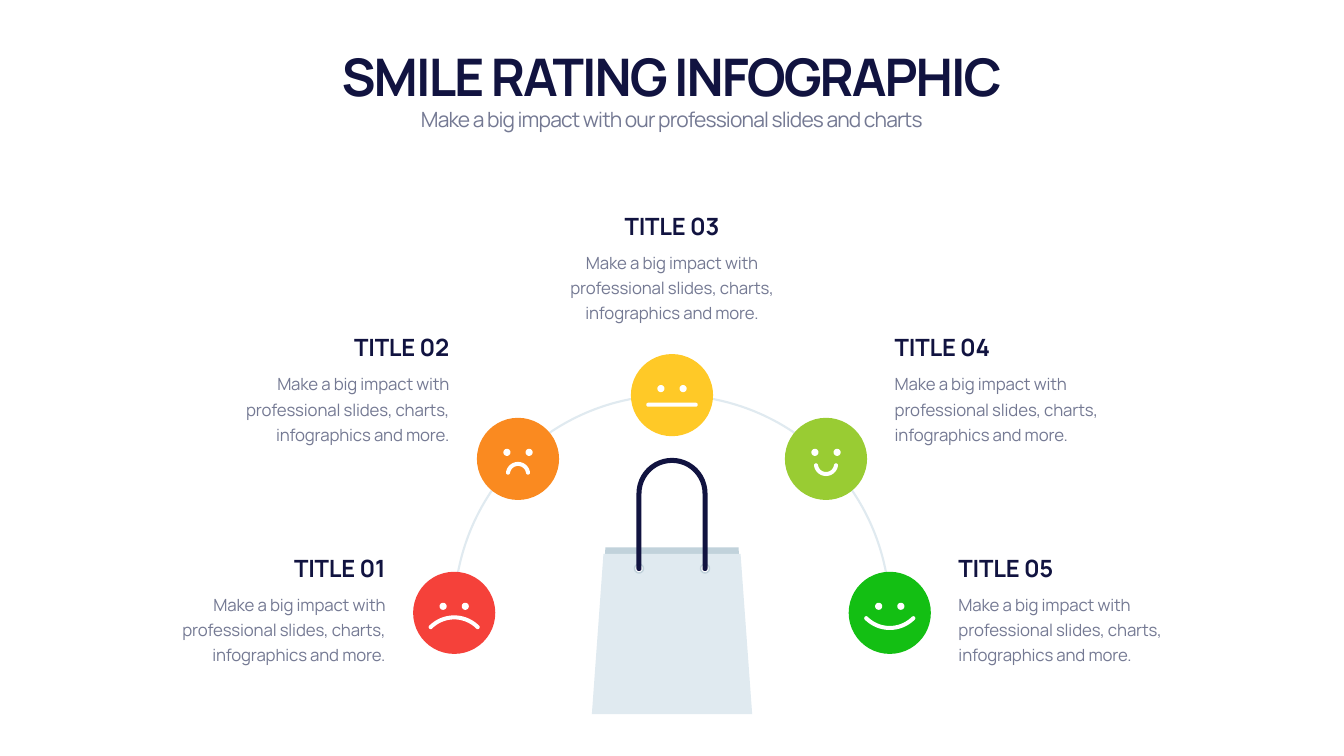
import math

import pptx
import pptx.dml.color
import pptx.enum.shapes
import pptx.enum.text
import pptx.util

Inches = pptx.util.Inches
Shape = pptx.enum.shapes.MSO_SHAPE
Align = pptx.enum.text.PP_ALIGN
Anchor = pptx.enum.text.MSO_ANCHOR

NAVY, GREY, PALE, STEEL, WHITE = "111340", "747993", "E0EAF0", "C1D2DB", "FFFFFF"
FONT = "Manrope"
BODY = "Make a big impact with professional slides, charts, infographics and more."
FACE = 1.63 / 2
RING = 4.32


def color(code):
    return pptx.dml.color.RGBColor.from_string(code)


def paint(shape, fill=None, line=None, width=0):
    shape.shadow.inherit = False
    if fill:
        shape.fill.solid()
        shape.fill.fore_color.rgb = color(fill)
    else:
        shape.fill.background()
    if line:
        shape.line.color.rgb = color(line)
        shape.line.width = pptx.util.Pt(width)
    else:
        shape.line.fill.background()


def round_shape(slide, kind, x, y, radius):
    size = Inches(2 * radius)
    return slide.shapes.add_shape(
        kind, Inches(x - radius), Inches(y - radius), size, size)


def disc(slide, x, y, radius, fill, line=None, width=0):
    paint(round_shape(slide, Shape.OVAL, x, y, radius), fill, line, width)


def curve(x, y, radius, start, end, steps=24):
    turns = [math.radians(start + (end - start) * i / steps)
             for i in range(steps + 1)]
    return [(x + radius * math.cos(t), y + radius * math.sin(t)) for t in turns]


def ribbon(line, half):
    edge = []
    for trail in (line, line[::-1]):
        for i, (x, y) in enumerate(trail):
            ax, ay = trail[max(i - 1, 0)]
            bx, by = trail[min(i + 1, len(trail) - 1)]
            turn = math.degrees(math.atan2(by - ay, bx - ax))
            edge += curve(x, y, half, turn - 90, turn - 90, 1)[:1]
        edge += curve(x, y, half, turn - 90, turn + 90, 8)[1:-1]
    return edge


def outline(slide, loops, fill):
    loops = [[(Inches(x), Inches(y)) for x, y in loop] for loop in loops]
    maker = slide.shapes.build_freeform(*loops[0][0], scale=1.0)
    for i, loop in enumerate(loops):
        if i:
            maker.move_to(*loop[0])
        maker.add_line_segments(loop[1:], close=True)
    paint(maker.convert_to_shape(), fill)


def label(slide, box, text, size, tint, align, track,
          bold=False, anchor=Anchor.TOP, pitch=None):
    frame = slide.shapes.add_textbox(*map(Inches, box)).text_frame
    frame.word_wrap = True
    frame.auto_size = pptx.enum.text.MSO_AUTO_SIZE.SHAPE_TO_FIT_TEXT
    frame.vertical_anchor = anchor
    frame.text = text
    para = frame.paragraphs[0]
    para.alignment = align
    if pitch:
        para.line_spacing = pptx.util.Pt(pitch)
    run = para.runs[0]
    run.font.name = FONT
    run.font.size = pptx.util.Pt(size)
    run.font.bold = bold
    run.font.color.rgb = color(tint)
    run.font._element.set("spc", str(round(track * 100)))


def header(slide, left, top, width):
    label(slide, (left, top, width, 1.35), "SMILE RATING INFOGRAPHIC",
          74, NAVY, Align.CENTER, -2.9, bold=True, anchor=Anchor.BOTTOM)
    label(slide, (left, top + 1.25, width, 0.61),
          "Make a big impact with our professional slides and charts",
          30, GREY, Align.CENTER, -1.2)


def note(slide, left, top, width, title, align):
    label(slide, (left, top, width, 0.67), title,
          34, NAVY, align, -0.3, bold=True, anchor=Anchor.BOTTOM)
    label(slide, (left, top + 0.72, width, 1.59), BODY,
          24, GREY, align, -0.2, pitch=36)


def bag(slide, left, top, width, height):
    mid, base = left + width / 2, top + height
    rim, hole, bend = base - 3.18, base - 2.89, top + 0.7
    grip = 1.31 / 2

    def panel(y, low, upper, lower, fill):
        outline(slide, [[(mid - upper, y), (mid + upper, y),
                         (mid + lower, low), (mid - lower, low)]], fill)

    panel(rim - 0.13, base - 0.25, 1.32, 1.53, STEEL)
    panel(rim, base, 1.36, width / 2, PALE)
    for side in (-1, 1):
        disc(slide, mid + side * grip, hole, 0.09, WHITE, STEEL, 2)
    path = [(mid - grip, hole), *curve(mid, bend, grip, 180, 360),
            (mid + grip, hole)]
    outline(slide, [ribbon(path, 0.05)], NAVY)


def face(slide, x, y, fill, mouth):
    disc(slide, x, y, FACE, fill)
    if mouth:
        drop, radius, start, end = mouth
        line = curve(x, y + drop, radius, start, end)
    else:
        line = [(x - 0.47, y + 0.19), (x + 0.47, y + 0.19)]
    eyes = [curve(x + side * 0.22, y - 0.13, 0.07, 0, 360) for side in (1, -1)]
    outline(slide, [ribbon(line, 0.04), *eyes], WHITE)


def rating(slide, x, y, radius):
    ratings = [
        ("F5413A", (0.75, 0.66, 225, 315), 1.23, Align.RIGHT),
        ("FA8A20", (0.3, 0.2, 188, 352), 2.55, Align.RIGHT),
        ("FFC927", None, 3.7, Align.CENTER),
        ("99CC33", (0.1, 0.2, 8, 172), 2.55, Align.LEFT),
        ("13BF13", (-0.36, 0.66, 45, 135), 1.23, Align.LEFT),
    ]
    wide, gap = 4.86, 0.45
    ring = round_shape(slide, Shape.ARC, x, y, radius)
    ring.adjustments[0] = 108
    ring.adjustments[1] = 0
    paint(ring, None, PALE, 3)
    for i, (fill, mouth, lift, align) in enumerate(ratings):
        turn = math.radians(180 - 45 * i)
        across = x + radius * math.cos(turn)
        down = y - radius * math.sin(turn)
        face(slide, across, down, fill, mouth)
        left = {Align.RIGHT: across - FACE - gap - wide,
                Align.CENTER: across - wide / 2,
                Align.LEFT: across + FACE + gap}[align]
        note(slide, left, down - lift, wide, f"TITLE {i + 1:02}", align)


def main():
    deck = pptx.Presentation()
    deck.slide_width, deck.slide_height = Inches(26.66), Inches(15)
    slide = deck.slides.add_slide(deck.slide_layouts[6])
    bag(slide, 11.74, 9.09, 3.18, 5.08)
    rating(slide, 13.33, 12.16, RING)
    header(slide, 1.66, 0.82, 23.33)
    deck.save("out.pptx")


if __name__ == "__main__":
    main()
